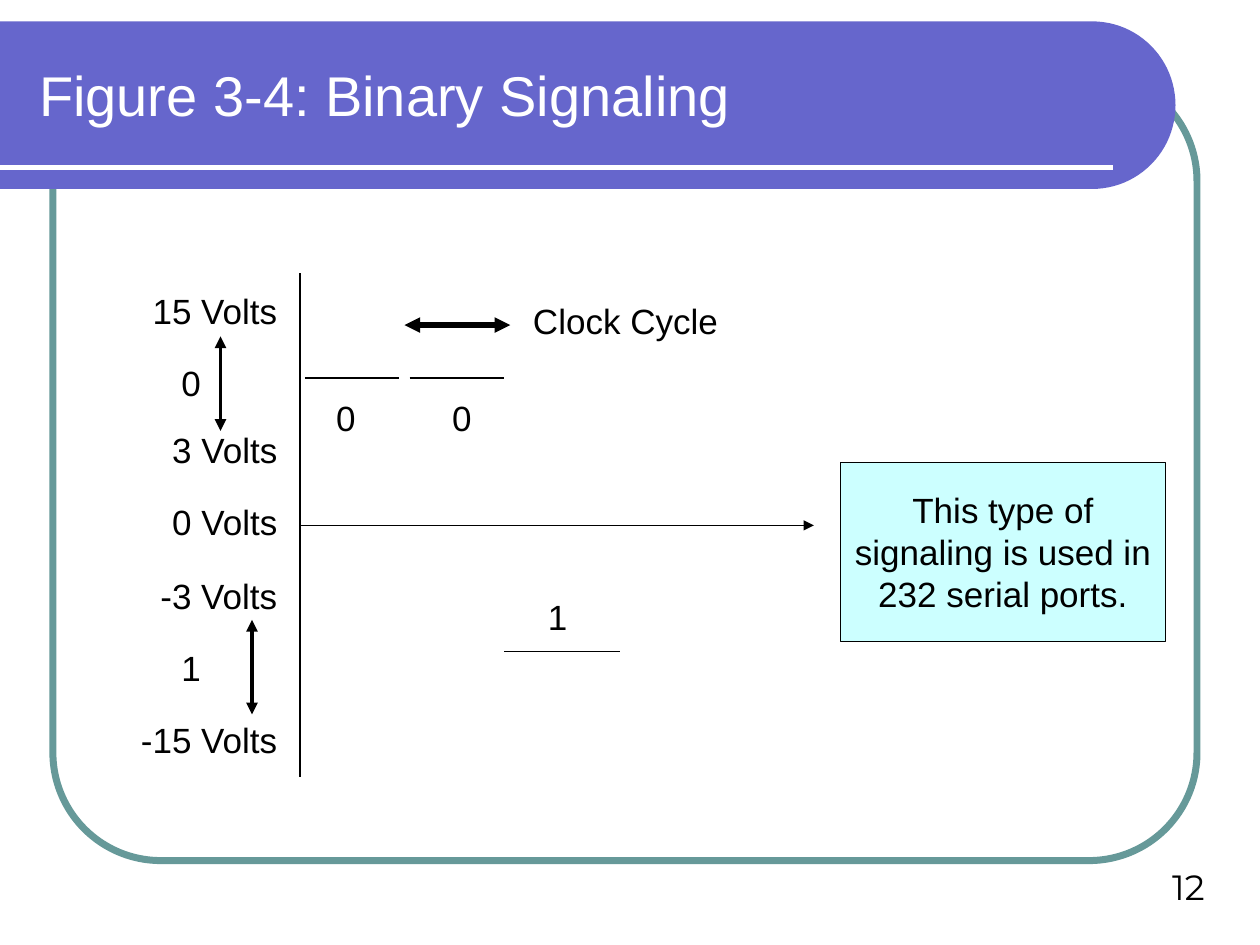
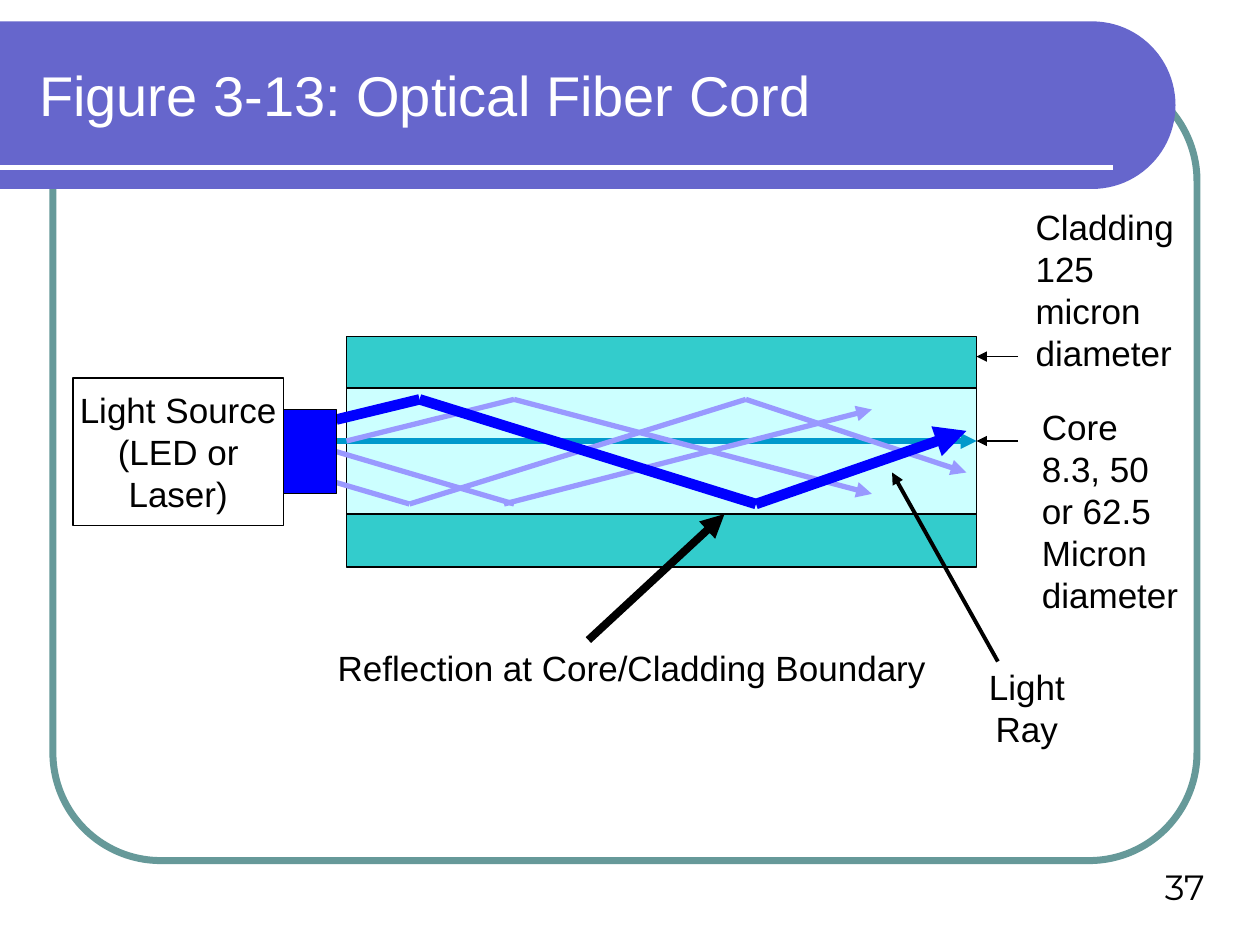
"""Builds two slides on binary signaling and optical fiber cord."""
from math import cos, pi, sin

from lxml.etree import SubElement
from pptx import Presentation
from pptx.dml.color import RGBColor
from pptx.enum.shapes import MSO_CONNECTOR, MSO_SHAPE
from pptx.enum.text import MSO_ANCHOR, MSO_AUTO_SIZE, PP_ALIGN
from pptx.oxml.ns import qn
from pptx.util import Inches, Pt

BLACK, WHITE, BAND, FRAME = "000000", "FFFFFF", "6666CC", "669999"
PALE, CLAD, BLUE, LILAC, CYAN = "CCFFFF", "33CCCC", "0000FF", "9999FF", "0099CC"
LEFT, MID, RIGHT = PP_ALIGN.LEFT, PP_ALIGN.CENTER, PP_ALIGN.RIGHT
LABEL = {"size": Pt(20), "name": "Arial"}
TITLE = {"size": Pt(32), "name": "Arial"}
NUMBER = {"size": Pt(20), "name": "Montserrat"}
GROW = {"word_wrap": False, "auto_size": MSO_AUTO_SIZE.SHAPE_TO_FIT_TEXT}
FIXED = {"word_wrap": False, "vertical_anchor": MSO_ANCHOR.MIDDLE}
HEAD = {"word_wrap": True, "vertical_anchor": MSO_ANCHOR.MIDDLE}
FOOT = {"word_wrap": True, "vertical_anchor": MSO_ANCHOR.BOTTOM}


def write(shape, text, align=MID, font=LABEL, body=GROW, color=BLACK):
    """Fill a shape with formatted text."""
    frame = shape.text_frame
    frame.text = text
    for key, value in body.items():
        setattr(frame, key, value)
    for para in frame.paragraphs:
        para.alignment = align
        for run in para.runs:
            run.font.color.rgb = RGBColor.from_string(color)
            for key, value in font.items():
                setattr(run.font, key, value)


def draw(slide, start, end, color=BLACK, width=0.75, tips=()):
    """Draw a straight line with arrowheads at the named tips."""
    line = slide.shapes.add_connector(
        MSO_CONNECTOR.STRAIGHT, *map(Inches, start + end))
    line.line.color.rgb = RGBColor.from_string(color)
    line.line.width = Pt(width)
    for tip in tips:
        SubElement(line.line._get_or_add_ln(), qn(f"a:{tip}"), type="triangle")
    SubElement(line.element.spPr, qn("a:effectLst"))
    return line


ONE, BOTH = ("tailEnd",), ("headEnd", "tailEnd")

pres = Presentation()
pres.slide_width, pres.slide_height = Inches(10), Inches(7.5)
plain = pres.slide_layouts[5]
for spare in list(plain.placeholders)[1:]:
    plain.shapes.element.remove(spare.element)

volts, fiber = [pres.slides.add_slide(plain) for _ in range(2)]

frame = volts.shapes.add_shape(
    MSO_SHAPE.ROUNDED_RECTANGLE, *map(Inches, (0.42, 0.58, 9.08, 6.25)))
frame.adjustments[0] = 0.137
frame.shadow.inherit = False
frame.fill.background()
frame.line.color.rgb = RGBColor.from_string(FRAME)
frame.line.width = Pt(4)

steps = 48
arc = [(8.67 + 0.66 * sin(pi * n / steps), 0.835 - 0.665 * cos(pi * n / steps))
       for n in range(steps + 1)]
pen = volts.shapes.build_freeform(0, Inches(0.17))
pen.add_line_segments([(Inches(x), Inches(y)) for x, y in arc + [(0, 1.5)]])
band = pen.convert_to_shape()
band.shadow.inherit = False
band.fill.solid()
band.fill.fore_color.rgb = RGBColor.from_string(BAND)
band.line.fill.background()

rule = draw(volts, (0, 1.33), (8.83, 1.33), WHITE, 3)
for part in (frame, band, rule):
    plain.shapes.element.append(part.element)

for slide, name, page in (
    (volts, "Figure 3-4: Binary Signaling", "12"),
    (fiber, "Figure 3-13: Optical Fiber Cord", "37"),
):
    title = slide.shapes.title
    title.left, title.top, title.width, title.height = map(
        Inches, (0.21, 0.25, 8.77, 1))
    write(title, name, LEFT, TITLE, HEAD, WHITE)
    foot = slide.shapes.add_textbox(*map(Inches, (7.33, 6.75, 2.33, 0.5)))
    write(foot, page, RIGHT, NUMBER, FOOT)

for start, end, width, tips in (
    ((2.38, 4.17), (6.46, 4.17), 0.75, ONE),
    ((2.38, 2.17), (2.38, 6.17), 0.75, ()),
    ((3.21, 2.58), (4.05, 2.58), 3, BOTH),
    ((2.42, 3), (3.17, 3), 0.75, ()),
    ((3.25, 3), (4, 3), 0.75, ()),
    ((4, 5.17), (4.92, 5.17), 0.75, ()),
    ((1.75, 2.67), (1.75, 3.42), 2.25, BOTH),
    ((2, 4.92), (2, 5.67), 2.25, BOTH),
):
    draw(volts, start, end, BLACK, width, tips)

for text, top, width in (
    ("15 Volts", 2.25, 1.2),
    ("3 Volts", 3.35, 1.05),
    ("0 Volts", 3.92, 1.05),
    ("-3 Volts", 4.51, 1.14),
    ("-15 Volts", 5.65, 1.3),
):
    mark = volts.shapes.add_textbox(
        *map(Inches, (2.3 - width, top, width, 0.44)))
    write(mark, text, RIGHT)

for bit, left, top in (
    ("0", 1.34, 2.82), ("1", 1.34, 5.08),
    ("0", 2.57, 3.1), ("0", 3.49, 3.1), ("1", 4.25, 4.68),
):
    mark = volts.shapes.add_textbox(*map(Inches, (left, top, 0.35, 0.44)))
    write(mark, bit)

for slide, text, align, spot in (
    (volts, "Clock Cycle", MID, (4.13, 2.33, 1.67, 0.44)),
    (fiber, "Reflection at Core/Cladding Boundary", MID, (2.56, 5.08, 4.91, 0.44)),
    (fiber, "Light\nRay", MID, (7.72, 5.23, 0.86, 0.77)),
    (fiber, "Cladding\n125\nmicron\ndiameter", LEFT, (8.12, 1.58, 1.32, 1.44)),
    (fiber, "Core\n8.3, 50\nor 62.5\nMicron\ndiameter", LEFT,
     (8.17, 3.17, 1.32, 1.77)),
):
    note = slide.shapes.add_textbox(*map(Inches, spot))
    write(note, text, align)

boxes = []
for slide, text, fill, spot in (
    (volts, "This type of\nsignaling is used in\v232 serial ports.", PALE,
     (6.67, 3.67, 2.58, 1.42)),
    (fiber, "", CLAD, (2.75, 2.67, 5, 0.42)),
    (fiber, "", CLAD, (2.75, 4.08, 5, 0.42)),
    (fiber, "", PALE, (2.75, 3.08, 5, 1)),
    (fiber, "Light Source\n(LED or\nLaser)", WHITE, (0.58, 3, 1.67, 1.17)),
    (fiber, "", BLUE, (2.25, 3.25, 0.42, 0.67)),
):
    box = slide.shapes.add_shape(MSO_SHAPE.RECTANGLE, *map(Inches, spot))
    box.shadow.inherit = False
    box.fill.solid()
    box.fill.fore_color.rgb = RGBColor.from_string(fill)
    box.line.color.rgb = RGBColor.from_string(BLACK)
    box.line.width = Pt(0.75)
    if text:
        write(box, text, MID, LABEL, FIXED)
    boxes.append(box)
lamp = boxes[-1]

draw(fiber, (2.67, 3.5), (7.75, 3.5), CYAN, 3, ONE)
ray = draw(fiber, (2.67, 3.58), (4.08, 4), LILAC, 3)
ray.begin_connect(lamp, 3)

for color, width, points in (
    (LILAC, 3, [(2.75, 3.5), (4.08, 3.17), (6.92, 3.92)]),
    (LILAC, 3, [(4, 4), (6.92, 3.25)]),
    (LILAC, 3, [(2.67, 3.83), (3.25, 4), (5.92, 3.17), (7.67, 3.75)]),
    (BLACK, 4.5, [(4.67, 5.08), (5.75, 4.08)]),
    (BLACK, 0.75, [(8.08, 2.83), (7.75, 2.83)]),
    (BLACK, 0.75, [(8.08, 3.5), (7.75, 3.5)]),
    (BLACK, 2.25, [(7.92, 5.25), (7.08, 3.75)]),
    (BLUE, 6, [(2.67, 3.33), (3.33, 3.17), (6, 4), (7.67, 3.42)]),
):
    for start, end in zip(points, points[1:]):
        draw(fiber, start, end, color, width, ONE if end == points[-1] else ())

fiber.shapes.element.append(lamp.element)

pres.save("out.pptx")
